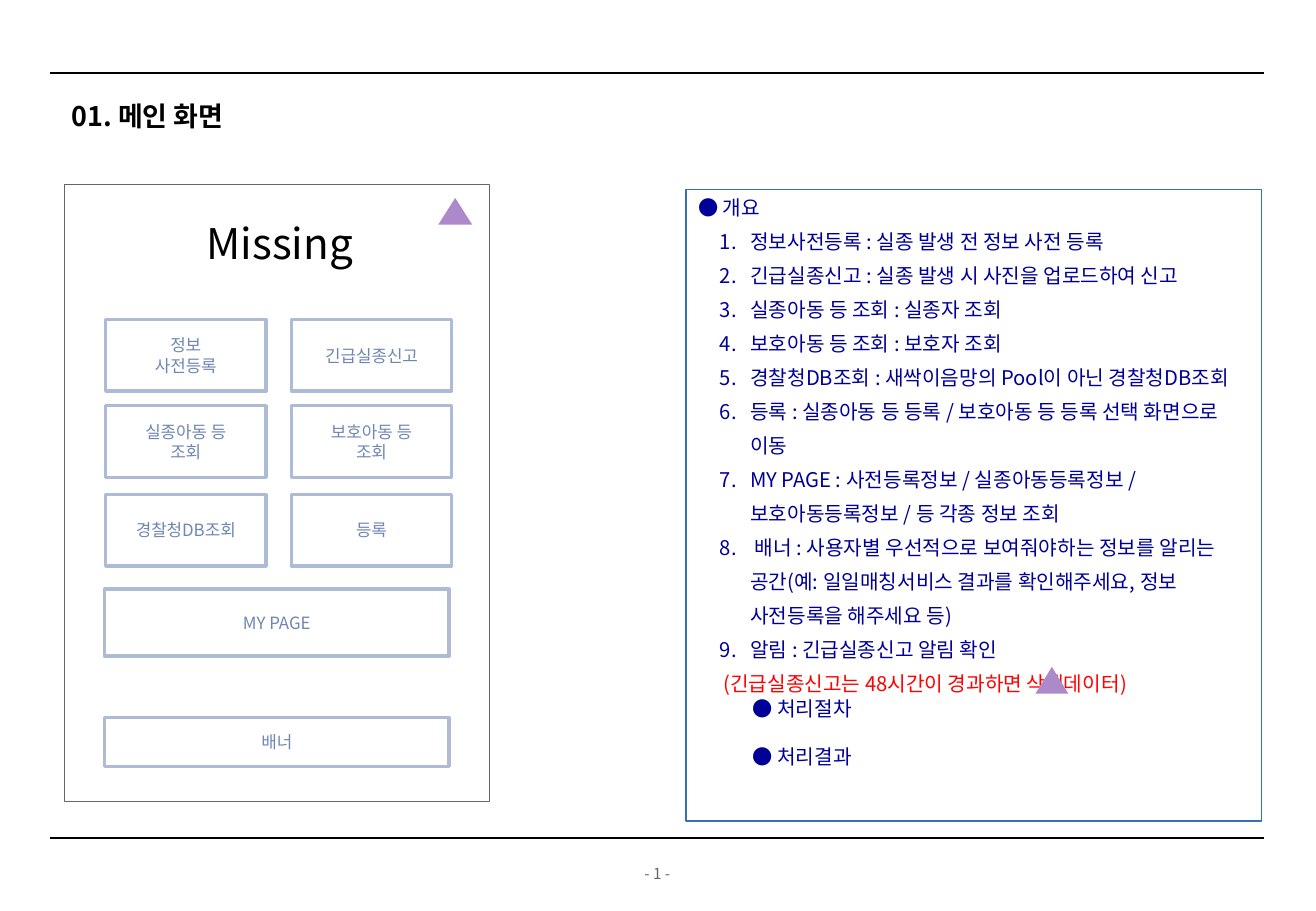
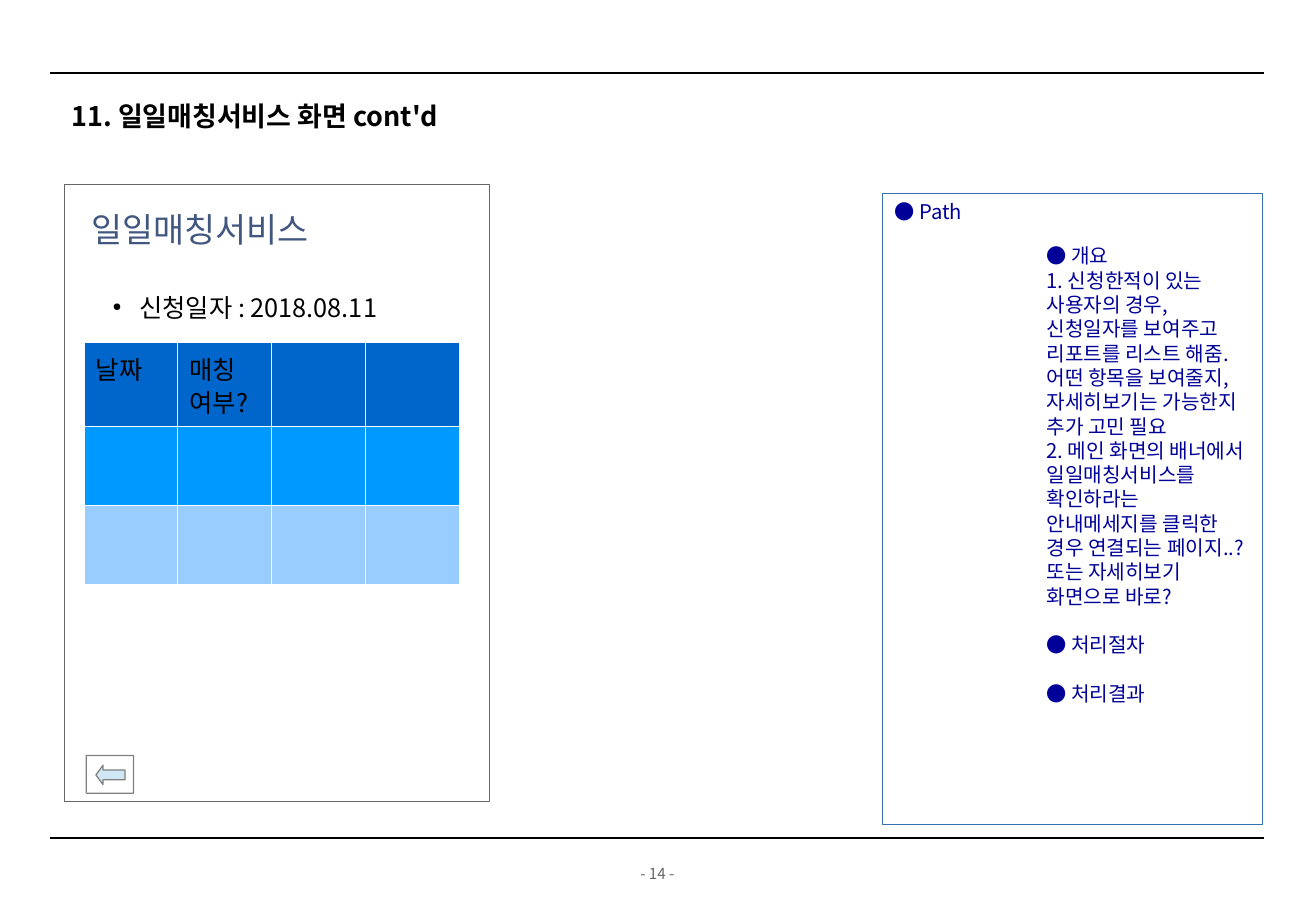
from dataclasses import dataclass

from lxml.etree import SubElement
from pptx import Presentation
from pptx.dml.color import RGBColor
from pptx.enum.shapes import MSO_CONNECTOR, MSO_SHAPE
from pptx.enum.text import MSO_ANCHOR, MSO_AUTO_SIZE, PP_ALIGN
from pptx.oxml.ns import qn
from pptx.util import Inches, Pt

FONT = "Noto Sans CJK KR"
BLACK = RGBColor(0x00, 0x00, 0x00)
WHITE = RGBColor(0xFF, 0xFF, 0xFF)
GRAY = RGBColor(0x66, 0x66, 0x66)
ICON_GRAY = RGBColor(0x80, 0x80, 0x80)
NAVY = RGBColor(0x00, 0x00, 0x99)
RED = RGBColor(0xFF, 0x00, 0x00)
PANEL_BLUE = RGBColor(0x38, 0x6F, 0xB1)
BUTTON_LINE = RGBColor(0xAE, 0xBB, 0xD5)
BUTTON_TEXT = RGBColor(0x6E, 0x86, 0xB4)
HEADING_BLUE = RGBColor(0x42, 0x57, 0x7F)
PURPLE = RGBColor(0xAB, 0x89, 0xCB)
ARROW_FILL = RGBColor(0xCF, 0xE7, 0xF5)
ROW_FILLS = (RGBColor(0x00, 0x66, 0xCC), RGBColor(0x00, 0x99, 0xFF), RGBColor(0x99, 0xCC, 0xFF))

PLAIN = {"alignment": PP_ALIGN.LEFT, "space_before": Pt(0), "line_spacing": 1.0}
CENTERED = PLAIN | {"alignment": PP_ALIGN.CENTER}
LOOSE = PLAIN | {"line_spacing": 1.4}
AFTER_GAP = PLAIN | {"space_before": Pt(14.4)}
PADDED = {
    "word_wrap": True, "auto_size": MSO_AUTO_SIZE.NONE, "vertical_anchor": MSO_ANCHOR.TOP,
    "margin_left": Inches(0.1), "margin_right": Inches(0.1),
    "margin_top": Inches(0.05), "margin_bottom": Inches(0.05),
}
TIGHT = PADDED | {"vertical_anchor": MSO_ANCHOR.MIDDLE} | dict.fromkeys(
    ("margin_left", "margin_right", "margin_top", "margin_bottom"), 0)


@dataclass
class Box:
    """A rectangle in inches."""
    left: float
    top: float
    width: float
    height: float

    def inner(self, left, top, width, height):
        """Return a box offset from this one's corner."""
        return Box(self.left + left, self.top + top, width, height)

    def lengths(self):
        """Return the four values as lengths."""
        return [Inches(value) for value in (self.left, self.top, self.width, self.height)]


@dataclass
class Line:
    """One paragraph with its text style, indents and bullet."""
    text: str
    size: float
    color: RGBColor
    layout: dict
    margin: float = 0
    indent: float = 0
    bullet: str = ""
    bold: bool = False


TITLE_BOX = Box(0.47, 0.66, 9.9, 0.47)
PHONE_BOX = Box(0.53, 1.52, 3.5, 5.08)
PAGE_NUMBER_BOX = Box(0, 7.07, 10.83, 0.25)
RULE_TOPS = (0.6, 6.9)
MAIN_BUTTONS = (
    (("정보", "사전등록"), ("긴급실종신고",)),
    (("실종아동 등", "조회"), ("보호아동 등", "조회")),
    (("경찰청DB조회",), ("등록",)),
)
MAIN_FEATURES = (
    "정보사전등록 : 실종 발생 전 정보 사전 등록",
    "긴급실종신고 : 실종 발생 시 사진을 업로드하여 신고",
    "실종아동 등 조회 : 실종자 조회",
    "보호아동 등 조회 : 보호자 조회",
    "경찰청DB조회 : 새싹이음망의 Pool이 아닌 경찰청DB조회",
    "등록 : 실종아동 등 등록 / 보호아동 등 등록 선택 화면으로 이동",
    "MY PAGE : 사전등록정보 / 실종아동등록정보 / 보호아동등록정보 / 등 각종 정보 조회",
    " 배너 : 사용자별 우선적으로 보여줘야하는 정보를 알리는 공간(예: 일일매칭서비스 결과를 확인해주세요, 정보 사전등록을 해주세요 등)",
    "알림 : 긴급실종신고 알림 확인",
)
MATCHING_NOTES = (
    "● 개요",
    "1. 신청한적이 있는 사용자의 경우, 신청일자를 보여주고 리포트를 리스트 해줌. 어떤 항목을 보여줄지, 자세히보기는 가능한지 추가 고민 필요",
    "2. 메인 화면의 배너에서 일일매칭서비스를 확인하라는 안내메세지를 클릭한 경우 연결되는 페이지..? 또는 자세히보기 화면으로 바로?",
)
CLOSING_HEADS = ("● 처리절차", "● 처리결과")


def apply(target, values):
    """Set each named attribute on the target."""
    for name, value in values.items():
        setattr(target, name, value)


def add_bullet(properties, bullet, color):
    """Add a numbered, dotted or absent bullet to paragraph properties."""
    if not bullet:
        SubElement(properties, qn("a:buNone"))
        return
    SubElement(SubElement(properties, qn("a:buClr")), qn("a:srgbClr"), val=str(color))
    if bullet == "number":
        SubElement(properties, qn("a:buFont"), typeface="+mj-lt")
        SubElement(properties, qn("a:buAutoNum"), type="arabicPeriod")
    else:
        SubElement(properties, qn("a:buSzPct"), val="45000")
        SubElement(properties, qn("a:buChar"), char=bullet)


def write(frame, lines, frame_format=PADDED):
    """Fill a text frame with lines."""
    apply(frame, frame_format)
    for index, line in enumerate(lines):
        para = frame.add_paragraph() if index else frame.paragraphs[0]
        apply(para, line.layout)
        properties = para._p.get_or_add_pPr()
        properties.set("marL", str(Inches(line.margin)))
        properties.set("indent", str(Inches(line.indent)))
        add_bullet(properties, line.bullet, line.color)
        span = para.add_run()
        span.text = line.text
        apply(span.font, {"size": Pt(line.size), "bold": line.bold, "name": FONT})
        span.font.color.rgb = line.color
        SubElement(span._r.get_or_add_rPr(), qn("a:ea"), typeface=FONT)


def place(holder, box):
    """Move a placeholder to a box."""
    apply(holder, dict(zip(("left", "top", "width", "height"), box.lengths())))


def add_text(page, box, lines):
    """Add a text box."""
    write(page.shapes.add_textbox(*box.lengths()).text_frame, lines)


def outline(shape, color, width):
    """Give a shape a solid outline."""
    shape.line.color.rgb = color
    shape.line.width = Pt(width)


def add_figure(page, kind, box, fill=None, line=None, width=0.75):
    """Add a preset shape without shadow."""
    shape = page.shapes.add_shape(kind, *box.lengths())
    shape.shadow.inherit = False
    if fill is None:
        shape.fill.background()
    else:
        shape.fill.solid()
        shape.fill.fore_color.rgb = fill
    if line is None:
        shape.line.fill.background()
    else:
        outline(shape, line, width)
    return shape


def add_page(deck, title, number):
    """Add a page with title, rules, page number and phone outline."""
    page = deck.slides.add_slide(deck.slide_layouts[1])
    place(page.shapes.title, TITLE_BOX)
    write(page.shapes.title.text_frame,
          [Line(title, 16, BLACK, LOOSE, 0.38, -0.36, bold=True)])
    for top in RULE_TOPS:
        rule = page.shapes.add_connector(
            MSO_CONNECTOR.STRAIGHT, Inches(0.41), Inches(top), Inches(10.41), Inches(top))
        outline(rule, BLACK, 1)
        SubElement(rule._element.spPr, qn("a:effectLst"))
    add_text(page, PAGE_NUMBER_BOX,
             [Line(f"- {number} -", 9, GRAY, CENTERED | {"space_before": Pt(5.6)})])
    add_figure(page, MSO_SHAPE.RECTANGLE, PHONE_BOX, line=GRAY)
    return page


def add_panel(page, box, lines):
    """Place the outlined description list."""
    panel = page.placeholders[1]
    place(panel, box)
    outline(panel, PANEL_BLUE, 0.75)
    write(panel.text_frame, lines)


def add_button(page, box, labels):
    """Add one outlined button."""
    button = add_figure(page, MSO_SHAPE.RECTANGLE, box, WHITE, BUTTON_LINE, 2)
    write(button.text_frame, [Line(label, 10, BUTTON_TEXT, CENTERED) for label in labels], TIGHT)


def add_alarm(page, box):
    """Add the alarm triangle."""
    add_figure(page, MSO_SHAPE.ISOSCELES_TRIANGLE, box, PURPLE)


def draw_main_phone(page, box):
    """Draw the main screen inside the phone."""
    add_text(page, box.inner(0.36, 0.22, 2.83, 0.94), [Line("Missing", 25, BLACK, CENTERED)])
    for top, row in zip((1.11, 1.82, 2.55), MAIN_BUTTONS):
        for column, labels in enumerate(row):
            add_button(page, box.inner(0.34 + column * 1.53, top, 1.32, 0.59), labels)
    add_button(page, box.inner(0.33, 3.33, 2.84, 0.55), ["MY PAGE"])
    add_button(page, box.inner(0.33, 4.39, 2.84, 0.4), ["배너"])
    add_alarm(page, box.inner(3.08, 0.11, 0.28, 0.22))


def draw_main_panel(page, box):
    """Describe the main screen."""
    features = [Line(text, 12, NAVY, LOOSE, 0.43, -0.25, "number") for text in MAIN_FEATURES]
    heads = [Line(text, 12, NAVY, layout, 0.45)
             for text, layout in zip(CLOSING_HEADS, (PLAIN, AFTER_GAP))]
    warning = Line("(긴급실종신고는 48시간이 경과하면 삭제데이터)", 12, RED, LOOSE, 0.45, -0.24)
    add_panel(page, box, [Line("● 개요", 12, NAVY, PLAIN), *features, warning, *heads])
    add_alarm(page, box.inner(2.88, 3.93, 0.27, 0.22))


def draw_table(page, box):
    """Draw the matching table."""
    heads = ("날짜", "매칭여부?", "", "")
    table = page.shapes.add_table(len(ROW_FILLS), len(heads), *box.lengths()).table
    for column in table.columns:
        column.width = Inches(box.width / len(heads))
    for index, (row, fill) in enumerate(zip(table.rows, ROW_FILLS)):
        row.height = Inches(box.height / len(ROW_FILLS))
        for cell, head in zip(row.cells, heads):
            cell.margin_top = Inches(0.08)
            if index == 0 and head:
                write(cell.text_frame, [Line(head, 15, BLACK, PLAIN | {"line_spacing": 0.92})], {})
            properties = cell._tc.get_or_add_tcPr()
            for side in ("lnL", "lnR", "lnT", "lnB"):
                border = SubElement(properties, qn(f"a:{side}"), w=str(Pt(0.11)))
                SubElement(SubElement(border, qn("a:solidFill")), qn("a:srgbClr"), val=str(WHITE))
            cell.fill.solid()
            cell.fill.fore_color.rgb = fill


def draw_matching_phone(page, box):
    """Draw the daily matching screen inside the phone."""
    heading = add_figure(page, MSO_SHAPE.RECTANGLE, box.inner(0.22, 0.07, 2.97, 0.59), WHITE)
    write(heading.text_frame, [Line("일일매칭서비스", 20, HEADING_BLUE, PLAIN)], TIGHT)
    add_text(page, box.inner(0.3, 0.84, 2.8, 0.35),
             [Line("신청일자 : 2018.08.11", 15, BLACK, PLAIN, 0.22, -0.22, "●")])
    draw_table(page, box.inner(0.16, 1.3, 3.09, 1.95))
    back = add_figure(page, MSO_SHAPE.ROUNDED_RECTANGLE, box.inner(0.18, 4.7, 0.39, 0.31),
                      WHITE, ICON_GRAY)
    back.adjustments[0] = 0.01
    arrow = add_figure(page, MSO_SHAPE.LEFT_ARROW, box.inner(0.26, 4.78, 0.24, 0.16),
                       ARROW_FILL, ICON_GRAY)
    arrow.adjustments[1] = 0.37


def draw_matching_panel(page, box):
    """Describe the daily matching screen."""
    layouts = (PLAIN | {"space_before": Pt(12)}, PLAIN, PLAIN, AFTER_GAP, AFTER_GAP)
    notes = [Line(text, 12, NAVY, layout, 1.25)
             for text, layout in zip(MATCHING_NOTES + CLOSING_HEADS, layouts)]
    add_panel(page, box, [Line("● Path", 12, NAVY, PLAIN), *notes])


def main():
    """Build and save the deck."""
    deck = Presentation()
    deck.slide_width, deck.slide_height = Inches(10.84), Inches(7.5)
    page = add_page(deck, "01. 메인 화면", 1)
    draw_main_phone(page, PHONE_BOX)
    draw_main_panel(page, Box(5.65, 1.56, 4.74, 5.2))
    page = add_page(deck, "11. 일일매칭서비스 화면 cont'd", 14)
    draw_matching_phone(page, PHONE_BOX)
    draw_matching_panel(page, Box(7.27, 1.59, 3.13, 5.2))
    deck.save("out.pptx")


if __name__ == "__main__":
    main()
